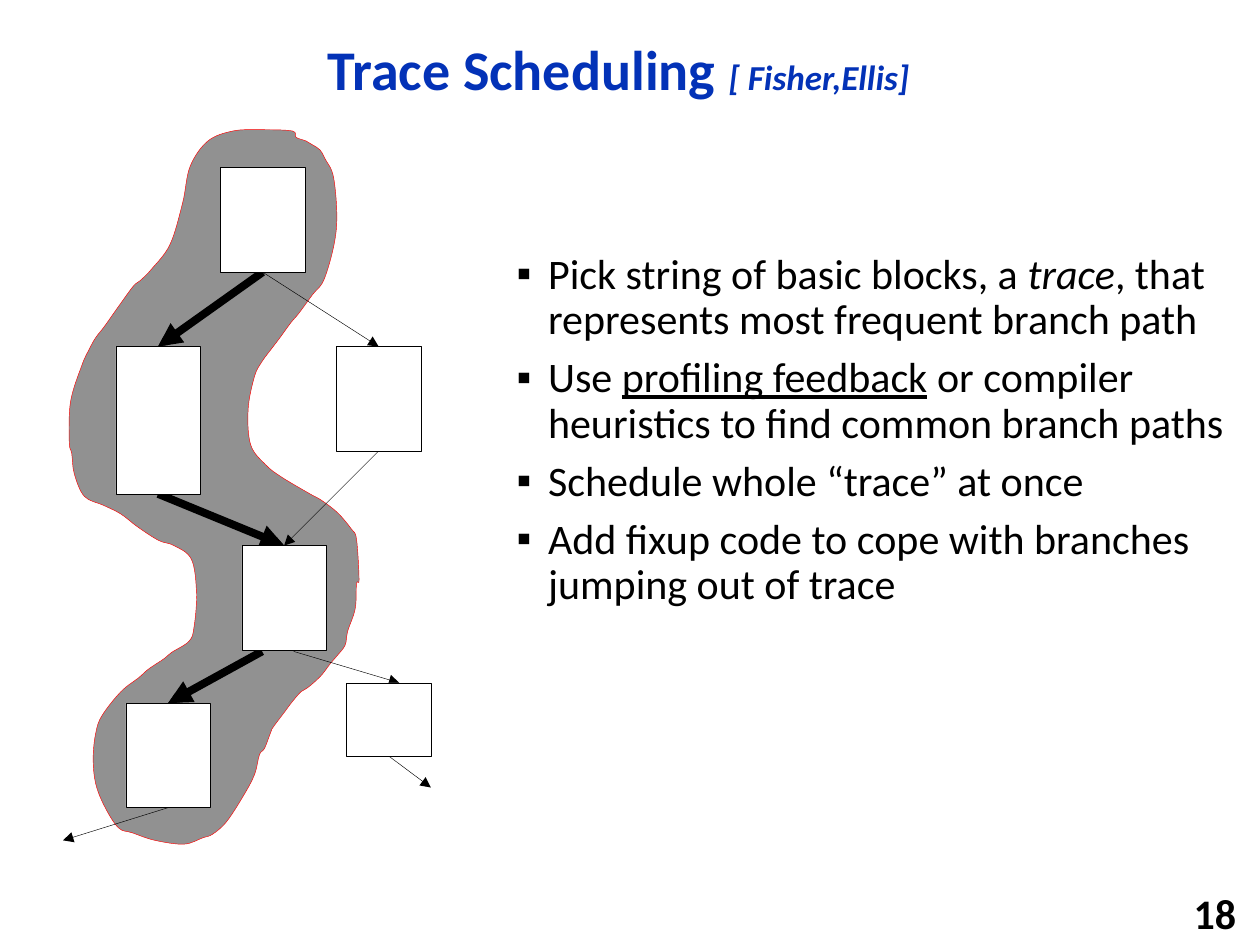
from dataclasses import dataclass
from typing import Optional

from lxml.etree import SubElement
from pptx import Presentation
from pptx.dml.color import RGBColor
from pptx.enum.shapes import MSO_CONNECTOR as Connector, MSO_SHAPE as Preset
from pptx.enum.text import MSO_ANCHOR as Anchor, MSO_AUTO_SIZE as AutoSize, PP_ALIGN as Align
from pptx.oxml.ns import qn
from pptx.util import Inches, Pt

FONT = "Calibri"
BLACK, WHITE, BLUE, GRAY, RED = "000000", "FFFFFF", "0332B7", "919191", "FF0000"
TOP, BOTTOM = 0, 2
THIN, THICK = 0.25, 4.5


@dataclass(frozen=True)
class Span:
    text: str
    size: float = 24
    color: str = BLACK
    bold: bool = False
    italic: bool = False
    underline: bool = False


@dataclass(frozen=True)
class Block:
    name: str
    left: float
    top: float
    height: float
    width: float = 0.67


@dataclass(frozen=True)
class Branch:
    start: tuple
    end: tuple
    source: Optional[str] = None
    target: Optional[str] = None
    on_trace: bool = False


TITLE = [
    Span("Trace Scheduling ", 32, BLUE, bold=True),
    Span("[ Fisher,Ellis]", 20, BLUE, bold=True, italic=True),
]
POINTS = [
    [Span("Pick string of basic blocks, a "), Span("trace", italic=True),
     Span(", that represents most frequent branch path")],
    [Span("Use "), Span("profiling feedback", underline=True),
     Span(" or compiler heuristics to find common branch paths")],
    [Span("Schedule whole “trace” at once")],
    [Span("Add fixup code to cope with branches jumping out of trace")],
]
BLOCKS = [
    Block("frequent", 0.92, 2.75, 1.17),
    Block("rare", 2.67, 2.75, 0.83),
    Block("entry", 1.75, 1.33, 0.83),
    Block("join", 1.92, 4.33, 0.83),
    Block("last", 1, 5.58, 0.83),
    Block("side", 2.75, 5.42, 0.58),
]
BRANCHES = [
    Branch((2.08, 2.17), (1.25, 2.75), "entry", "frequent", True),
    Branch((2.08, 2.17), (3, 2.75), "entry", "rare"),
    Branch((1.25, 3.92), (2.25, 4.33), "frequent", "join", True),
    Branch((3, 3.58), (2.25, 4.33), "rare", "join"),
    Branch((2.08, 5.17), (1.33, 5.58), None, "last", True),
    Branch((2.33, 5.17), (3.17, 5.42)),
    Branch((3.08, 6), (3.42, 6.25), "side"),
    Branch((1.33, 6.42), (0.5, 6.67), "last"),
]
TRACE_OUTLINE = [
    (2.83, 4.63), (2.82, 4.83), (2.76, 5.01), (2.74, 5.12), (2.68, 5.2), (2.62, 5.27),
    (2.56, 5.35), (2.5, 5.41), (2.44, 5.46), (2.39, 5.49), (2.32, 5.57), (2.26, 5.65),
    (2.17, 5.77), (2.15, 5.81), (2.1, 5.94), (2.06, 5.99), (2.02, 6.15), (1.93, 6.32),
    (1.8, 6.52), (1.69, 6.62), (1.61, 6.65), (1.46, 6.7), (1.23, 6.67), (1.05, 6.61),
    (0.94, 6.57), (0.83, 6.4), (0.76, 6.22), (0.74, 6.02), (0.76, 5.82), (0.81, 5.68),
    (0.96, 5.49), (1.1, 5.38), (1.18, 5.31), (1.3, 5.23), (1.36, 5.18), (1.5, 5.09),
    (1.54, 4.98), (1.56, 4.71), (1.52, 4.44), (1.38, 4.33), (1.26, 4.29), (1.09, 4.18),
    (0.96, 4.08), (0.82, 4.01), (0.67, 3.94), (0.59, 3.76), (0.57, 3.6), (0.55, 3.51),
    (0.56, 3.19), (0.65, 2.9), (0.71, 2.77), (0.76, 2.68), (0.83, 2.59), (0.95, 2.42),
    (1.06, 2.27), (1.11, 2.23), (1.2, 2.14), (1.35, 1.94), (1.45, 1.61), (1.51, 1.32),
    (1.65, 1.12), (1.85, 1.04), (2.07, 1.03), (2.32, 1.04), (2.35, 1.09), (2.43, 1.12),
    (2.48, 1.15), (2.54, 1.19), (2.58, 1.26), (2.65, 1.42), (2.67, 1.82), (2.58, 2.2),
    (2.48, 2.34), (2.37, 2.49), (2.31, 2.56), (2.23, 2.67), (2.17, 2.75), (2.08, 2.87),
    (2.02, 2.99), (1.97, 3.25), (1.99, 3.53), (2.11, 3.69), (2.24, 3.79), (2.46, 3.92),
    (2.55, 3.97), (2.68, 4.07), (2.79, 4.2), (2.83, 4.28), (2.85, 4.6),
]


def rgb(color: str) -> RGBColor:
    return RGBColor.from_string(color)


def place(shape, left: float, top: float, width: float, height: float) -> None:
    shape.left, shape.top = Inches(left), Inches(top)
    shape.width, shape.height = Inches(width), Inches(height)


def paint(shape, fill: str, line: str) -> None:
    shape.shadow.inherit = False
    shape.fill.solid()
    shape.fill.fore_color.rgb = rgb(fill)
    shape.line.color.rgb = rgb(line)
    shape.line.width = Pt(THIN)


def add_spans(para, spans: list) -> None:
    for item in spans:
        span = para.add_run()
        span.text = item.text
        font = span.font
        font.name, font.size = FONT, Pt(item.size)
        font.bold, font.italic, font.underline = item.bold, item.italic, item.underline
        font.color.rgb = rgb(item.color)


def add_line_of_text(box, spans: list, align, spacing: float) -> None:
    frame = box.text_frame
    frame.word_wrap = True
    frame.auto_size = AutoSize.NONE
    frame.vertical_anchor = Anchor.MIDDLE
    para = frame.paragraphs[0]
    para.alignment = align
    para.line_spacing = spacing
    add_spans(para, spans)


def add_points(box, points: list) -> None:
    frame = box.text_frame
    frame.word_wrap = True
    frame.auto_size = AutoSize.SHAPE_TO_FIT_TEXT
    frame.vertical_anchor = Anchor.MIDDLE
    for index, spans in enumerate(points):
        para = frame.add_paragraph() if index else frame.paragraphs[0]
        properties = para._p.get_or_add_pPr()
        properties.set("marL", str(Inches(0.25)))
        properties.set("indent", str(Inches(-0.25)))
        SubElement(properties, qn("a:buFont"), typeface="Arial")
        SubElement(properties, qn("a:buChar"), char="▪")
        para.line_spacing = 0.9
        para.space_before = Pt(7.2 if index else 0)
        add_spans(para, spans)


def round_corners(shape, anchors: list) -> None:
    count = len(anchors)
    for index, segment in enumerate(list(shape._element.iter(qn("a:lnTo")))):
        before, start, end, after = (anchors[(index + step) % count] for step in (-1, 0, 1, 2))
        leaving = [b + (c - a) / 6 for a, b, c in zip(before, start, end)]
        arriving = [b - (c - a) / 6 for a, b, c in zip(start, end, after)]
        segment.clear()
        segment.tag = qn("a:cubicBezTo")
        for x, y in (leaving, arriving, end):
            SubElement(segment, qn("a:pt"), x=str(round(x - shape.left)), y=str(round(y - shape.top)))


def add_trace(page) -> None:
    anchors = [(Inches(x), Inches(y)) for x, y in TRACE_OUTLINE]
    builder = page.shapes.build_freeform(*anchors[0])
    builder.add_line_segments(anchors[1:] + anchors[:1], close=True)
    trace = builder.convert_to_shape()
    round_corners(trace, anchors)
    paint(trace, GRAY, RED)


def add_block(page, block: Block):
    shape = page.shapes.add_shape(Preset.RECTANGLE, 0, 0, 0, 0)
    place(shape, block.left, block.top, block.width, block.height)
    paint(shape, WHITE, BLACK)
    return shape


def add_arrow(page, branch: Branch, blocks: dict, weight: float) -> None:
    ends = [Inches(value) for value in branch.start + branch.end]
    arrow = page.shapes.add_connector(Connector.STRAIGHT, *ends)
    if branch.source:
        arrow.begin_connect(blocks[branch.source], BOTTOM)
    if branch.target:
        arrow.end_connect(blocks[branch.target], TOP)
    arrow.line.color.rgb = rgb(BLACK)
    arrow.line.width = Pt(weight)
    SubElement(arrow.line._get_or_add_ln(), qn("a:tailEnd"), type="triangle")
    SubElement(arrow._element.spPr, qn("a:effectLst"))


def main() -> None:
    deck = Presentation()
    deck.slide_width, deck.slide_height = Inches(10), Inches(7.5)
    page = deck.slides.add_slide(deck.slide_layouts[1])

    title, body = page.shapes.title, page.placeholders[1]
    place(title, 0.92, 0.17, 7.98, 0.81)
    add_line_of_text(title, TITLE, Align.CENTER, 0.9)
    place(body, 4, 1.91, 6, 3.02)
    add_points(body, POINTS)
    number = page.shapes.add_textbox(0, 0, 0, 0)
    place(number, 7.83, 7.08, 2.08, 0.32)
    add_line_of_text(number, [Span("18", bold=True)], Align.RIGHT, 1.0)

    add_trace(page)
    blocks = {block.name: add_block(page, block) for block in BLOCKS}
    for branch in BRANCHES:
        if branch.on_trace:
            add_arrow(page, branch, blocks, THICK)
    for branch in BRANCHES:
        add_arrow(page, branch, blocks, THIN)
    for shape in blocks.values():
        shape.element.getparent().append(shape.element)

    deck.save("out.pptx")


if __name__ == "__main__":
    main()
